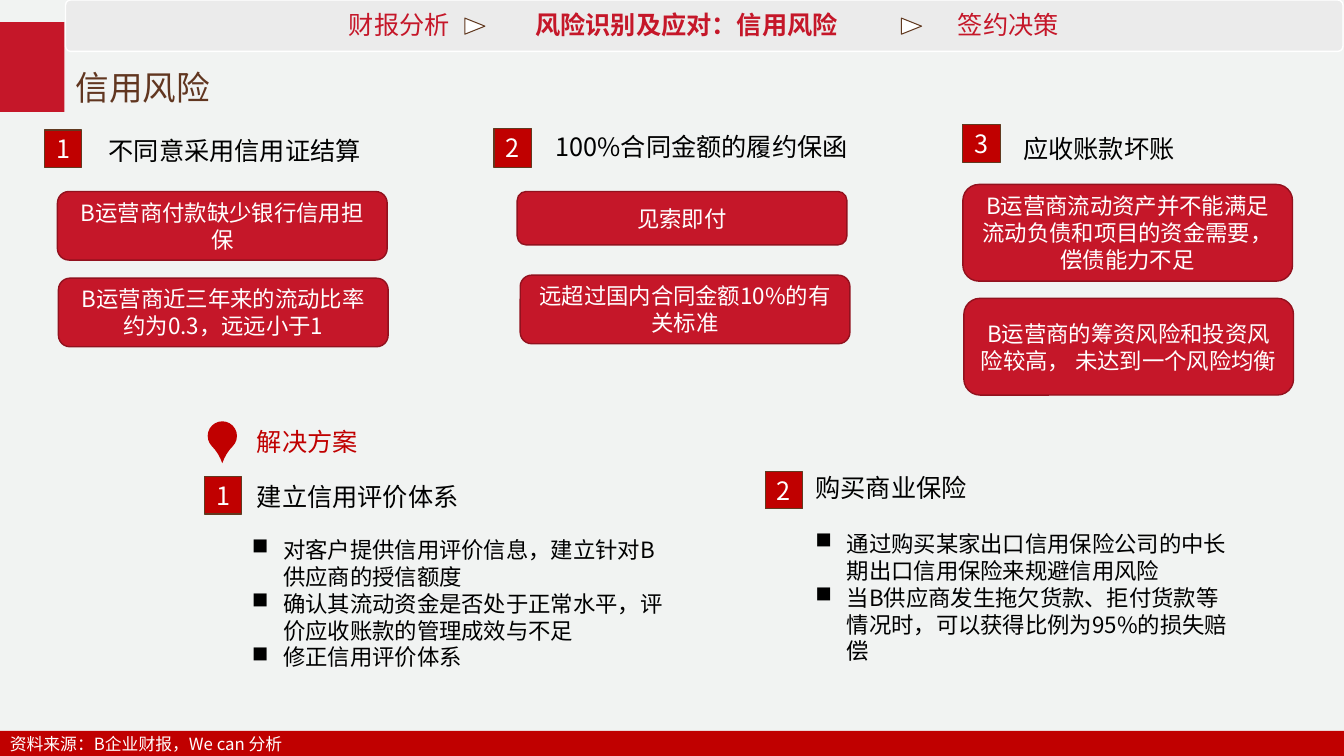
from dataclasses import dataclass

from lxml.etree import SubElement
from pptx import Presentation
from pptx.dml.color import RGBColor
from pptx.enum.shapes import MSO_SHAPE as SHAPE
from pptx.enum.text import MSO_ANCHOR as ANCHOR, MSO_AUTO_SIZE as AUTO_SIZE, PP_ALIGN as ALIGN
from pptx.oxml.ns import qn
from pptx.util import Inches, Pt


@dataclass(frozen=True)
class Theme:
    background: str = "F1F3F2"
    red: str = "C51729"
    deep_red: str = "C00000"
    card_line: str = "92111E"
    brown: str = "613620"
    badge_line: str = "613920"
    bar: str = "EBEBEB"
    white: str = "FFFFFF"
    black: str = "000000"
    font: str = "Noto Sans CJK SC"
    title_font: str = "Calibri"
    title_size: int = 24
    heading_size: int = 18
    body_size: int = 16
    source_size: int = 12


THEME = Theme()


def color(code):
    return RGBColor.from_string(code)


def write_text(shape, *lines, size=THEME.heading_size, fill=THEME.black, bold=False,
               align=ALIGN.LEFT, anchor=ANCHOR.TOP, font=THEME.font, spacing=None, bullet=None):
    frame = shape.text_frame
    frame.word_wrap = True
    frame.auto_size = AUTO_SIZE.NONE
    frame.vertical_anchor = anchor
    for index, line in enumerate(lines):
        paragraph = frame.add_paragraph() if index else frame.paragraphs[0]
        paragraph.alignment = align
        paragraph.line_spacing = spacing
        run = paragraph.add_run()
        run.text = line
        run.font.name = font
        run.font.size = Pt(size)
        run.font.bold = bold
        run.font.color.rgb = color(fill)
        SubElement(run.font._element, qn("a:ea"), typeface=THEME.font)
        if bullet:
            add_bullet(paragraph, bullet)


def add_bullet(paragraph, character):
    properties = paragraph._p.get_or_add_pPr()
    indent = Inches(0.31)
    properties.set("marL", str(indent))
    properties.set("indent", str(-indent))
    SubElement(properties, qn("a:buChar"), char=character)


def add_shape(slide, kind, box, fill, line=None, line_width=1, rotation=0, adjustment=None):
    shape = slide.shapes.add_shape(kind, *map(Inches, box))
    shape.shadow.inherit = False
    shape.rotation = rotation
    shape.fill.solid()
    shape.fill.fore_color.rgb = color(fill)
    if line:
        shape.line.color.rgb = color(line)
        shape.line.width = Pt(line_width)
    else:
        shape.line.fill.background()
    if adjustment is not None:
        shape.adjustments[0] = adjustment
    return shape


def add_label(slide, box, *lines, **text_format):
    write_text(slide.shapes.add_textbox(*map(Inches, box)), *lines, **text_format)


def add_badge(slide, left, top, number, height=0.37):
    badge = add_shape(slide, SHAPE.RECTANGLE, (left, top, 0.37, height),
                      THEME.deep_red, THEME.badge_line, 0.75)
    write_text(badge, str(number), fill=THEME.white, align=ALIGN.CENTER, anchor=ANCHOR.MIDDLE)


def add_card(slide, left, top, height, text):
    card = add_shape(slide, SHAPE.ROUNDED_RECTANGLE, (left, top, 3.27, height),
                     THEME.red, THEME.card_line)
    write_text(card, text, size=THEME.body_size, fill=THEME.white,
               align=ALIGN.CENTER, anchor=ANCHOR.MIDDLE)


def add_title(slide):
    title = slide.shapes.title
    title.left, title.top, title.width, title.height = map(Inches, (0.65, 0.63, 3.01, 0.52))
    write_text(title, "信用风险", size=THEME.title_size, fill=THEME.brown,
               font=THEME.title_font, anchor=ANCHOR.MIDDLE, spacing=0.9)


def add_navigation(slide):
    add_shape(slide, SHAPE.ROUNDED_RECTANGLE, (0.65, 0, 12.67, 0.51),
              THEME.bar, THEME.white, adjustment=0.1)
    steps = [(3.96, 1.6, "财报分析", False),
             (6.81, 3.6, "风险识别及应对：信用风险", True),
             (10, 1.6, "签约决策", False)]
    for center, width, text, bold in steps:
        add_label(slide, (center - width / 2, 0.02, width, 0.48), text, fill=THEME.red,
                  bold=bold, align=ALIGN.CENTER, anchor=ANCHOR.MIDDLE, spacing=0.9)
    for left in (4.63, 8.96):
        add_shape(slide, SHAPE.ISOSCELES_TRIANGLE, (left, 0.16, 0.16, 0.2),
                  THEME.white, THEME.badge_line, 0.75, rotation=90)


def add_risks(slide):
    add_badge(slide, 0.44, 1.29, 1)
    add_label(slide, (0.98, 1.29, 3.96, 0.4), "不同意采用信用证结算")
    add_card(slide, 0.57, 1.9, 0.68, "B运营商付款缺少银行信用担保")
    add_card(slide, 0.58, 2.76, 0.68, "B运营商近三年来的流动比率约为0.3，远远小于1")

    add_badge(slide, 4.9, 1.27, 2, height=0.39)
    add_label(slide, (4.78, 1.25, 4.36, 0.5), "100%合同金额的履约保函", align=ALIGN.CENTER)
    add_card(slide, 5.13, 1.9, 0.53, "见索即付")
    add_card(slide, 5.16, 2.73, 0.68, "远超过国内合同金额10%的有关标准")

    add_badge(slide, 9.55, 1.24, 3)
    add_label(slide, (10.05, 1.27, 2.66, 0.5), "应收账款坏账")
    add_card(slide, 9.55, 1.83, 0.96, "B运营商流动资产并不能满足流动负债和项目的资金需要，偿债能力不足")
    add_card(slide, 9.56, 2.96, 0.96, "B运营商的筹资风险和投资风险较高， 未达到一个风险均衡")


def add_solutions(slide):
    add_shape(slide, SHAPE.TEAR, (2.06, 4.18, 0.29, 0.29), THEME.deep_red,
              rotation=135, adjustment=1.32)
    add_label(slide, (2.45, 4.18, 2.18, 0.4), "解决方案", fill=THEME.deep_red)

    points = dict(size=THEME.body_size, bullet="■")
    add_badge(slide, 2.03, 4.73, 1)
    add_label(slide, (2.45, 4.73, 3.11, 0.4), "建立信用评价体系")
    add_label(slide, (2.4, 5.27, 4.36, 1.67),
              "对客户提供信用评价信息，建立针对B供应商的授信额度",
              "确认其流动资金是否处于正常水平，评价应收账款的管理成效与不足",
              "修正信用评价体系", **points)

    add_badge(slide, 7.59, 4.68, 2)
    add_label(slide, (7.99, 4.64, 2.66, 0.4), "购买商业保险")
    add_label(slide, (7.99, 5.21, 4.36, 1.67),
              "通过购买某家出口信用保险公司的中长期出口信用保险来规避信用风险",
              "当B供应商发生拖欠货款、拒付货款等情况时，可以获得比例为95%的损失赔偿", **points)


def add_source(slide):
    footer = add_shape(slide, SHAPE.RECTANGLE, (0, 7.25, 13.33, 0.25), THEME.deep_red)
    write_text(footer, "资料来源：B企业财报，We can 分析", size=THEME.source_size,
               fill=THEME.white, anchor=ANCHOR.MIDDLE)


def main():
    presentation = Presentation()
    presentation.slide_width, presentation.slide_height = Inches(13.33), Inches(7.5)
    slide = presentation.slides.add_slide(presentation.slide_layouts[5])
    slide.background.fill.solid()
    slide.background.fill.fore_color.rgb = color(THEME.background)
    add_shape(slide, SHAPE.RECTANGLE, (0, 0.22, 0.64, 0.89), THEME.red)
    add_title(slide)
    add_navigation(slide)
    add_risks(slide)
    add_solutions(slide)
    add_source(slide)
    presentation.save("out.pptx")


if __name__ == "__main__":
    main()
